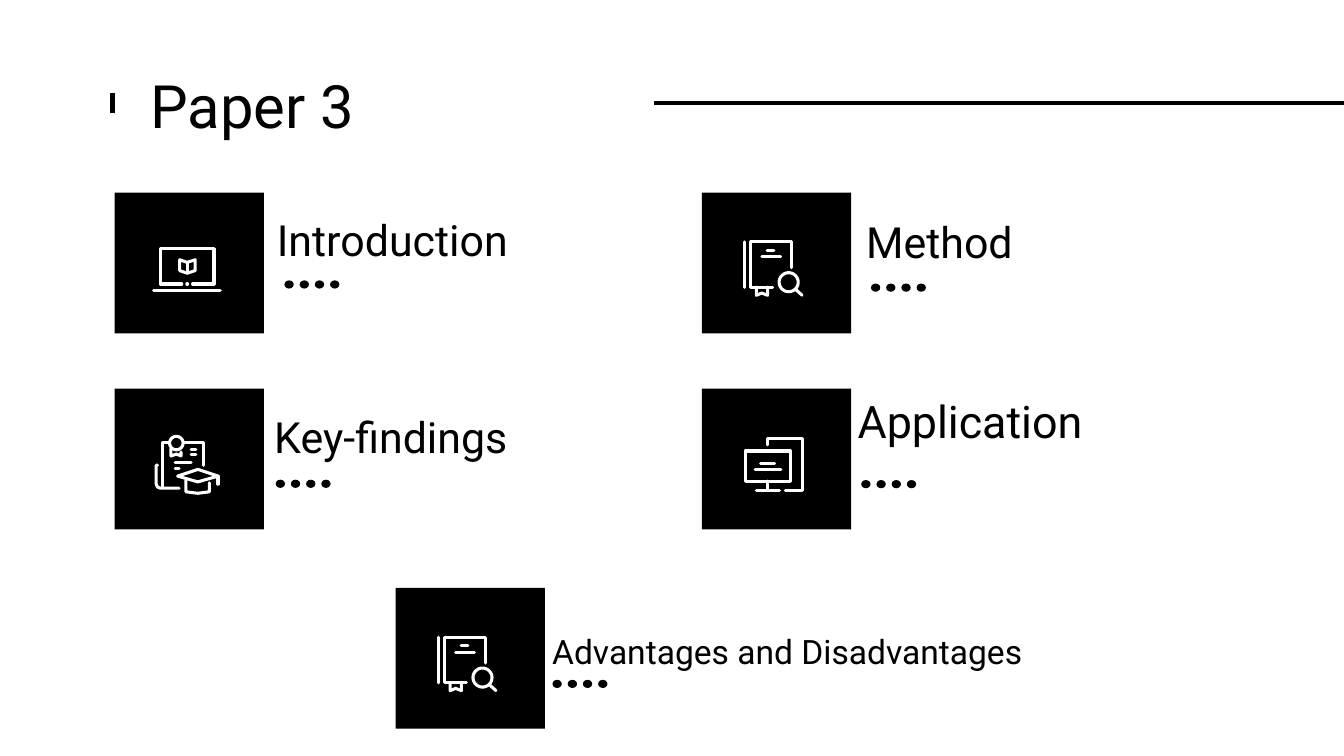
import math
from dataclasses import dataclass

from pptx import Presentation
from pptx.dml.color import RGBColor
from pptx.enum import shapes, text
from pptx.oxml import ns, xmlchemy
from pptx.util import Pt

HUES = {"ink": "000000", "paper": "FFFFFF"}
FACE = "Roboto"
TILE_W, TILE_H = 80, 75.4
DOT_W, DOT_H, DOT_STEP, DOTS = 5, 4.4, 8.15, 4
STROKE = 1.65


@dataclass
class Icon:
    """Strokes of one icon, in points from the corner of the tile."""
    paths: list          # open outlines
    loops: list          # closed outlines


@dataclass
class Card:
    label: str
    size: float
    tile: tuple          # left, top
    box: tuple           # left, top, width, height
    dots: tuple          # left, top of the first dot
    icon: Icon


def row(x1: float, x2: float, y: float) -> list:
    return [(x1, y), (x2, y)]


def ring(x: float, y: float, r: float, steps: int = 36) -> list:
    turns = [2 * math.pi * i / steps for i in range(steps)]
    return [(x + r * math.cos(a), y + r * math.sin(a)) for a in turns]


LAPTOP = Icon(
    paths=[
        [(36, 49), (24.5, 49), (24.5, 30), (53.3, 30), (53.3, 49), (41.8, 49)],
        row(38.7, 39.1, 49), row(20.9, 56.6, 52.5),
        [(38.9, 37.4), (38.9, 43.2)],
    ],
    loops=[[(34.9, 36), (38.9, 37.4), (43.2, 36),
            (43.2, 41.8), (38.9, 43.2), (34.9, 41.8)]])
BOOK = Icon(
    paths=[
        [(23, 26.4), (23, 50.8)],
        [(48, 40.2), (48, 26.4), (26.2, 26.4), (26.2, 50.6), (37.9, 50.6)],
        row(35, 38.6, 30.8), row(32.1, 42.2, 34.4),
        [(29.2, 50.6), (29.2, 55), (32.1, 53.8), (35.2, 55), (35.2, 50.6)],
        [(50.2, 51.8), (53.7, 55)],
    ],
    loops=[ring(46.5, 48, 5.1)])
DEGREE = Icon(
    paths=[
        [(30.2, 32), (30.2, 36), (33.1, 35), (35.6, 36), (35.6, 33.8)],
        [(37, 28.8), (47.5, 28.8), (47.5, 41)],
        [(28.8, 28.8), (25.9, 28.8), (25.9, 52.6)],
        [(23, 41), (22.3, 41), (22.3, 51.1), (23, 52.6), (24.5, 53.3),
         (34.6, 53.3)],
        row(41, 43.6, 32.8), row(41, 43.6, 35.3),
        row(32.4, 41, 39.6), row(32.4, 34.6, 42.5),
        [(38.2, 49), (38.2, 55.2), (44.6, 56), (50.8, 55.2), (50.8, 50.4)],
        [(55.4, 46.8), (55.4, 51.1)],
    ],
    loops=[[(33.8, 46.8), (44.6, 43.2), (55.4, 46.8), (44.6, 49.9)],
           ring(33.1, 29.1, 3.6)])
SCREEN = Icon(
    paths=[
        [(35.4, 49.5), (35.4, 54.5)],
        row(29.3, 41.6, 54.5), row(31.5, 39, 40.1), row(28.6, 42.3, 43),
        [(35.3, 30), (35.3, 26.4), (53.8, 26.4), (53.8, 54.5), (44.8, 54.5)],
    ],
    loops=[[(23.2, 33.3), (47.3, 33.3), (47.3, 49.5), (23.2, 49.5)]])

LEFT, RIGHT, UPPER, LOWER = 61.4, 376, 103.2, 208.3
CARDS = [
    Card("Introduction", 23, (LEFT, UPPER), (141.1, 113, 182, 31),
         (152.4, 150.2), LAPTOP),
    Card("Method", 23, (RIGHT, UPPER), (456.8, 113.8, 182, 31),
         (466.6, 151.9), BOOK),
    Card("Key-findings", 23, (LEFT, LOWER), (139.7, 218.2, 182, 31),
         (147.7, 257), DEGREE),
    Card("Application", 24, (RIGHT, LOWER), (452.2, 187.9, 279.4, 74.9),
         (461.4, 257.2), SCREEN),
    Card("Advantages and Disadvantages", 18, (212, 315),
         (288.7, 334.1, 334, 29.5), (296, 364.2), BOOK),
]


def tint(name: str) -> RGBColor:
    return RGBColor.from_string(HUES[name])


def write(shape, words: str, *, size: float, box: tuple, middle: bool = True) -> None:
    """Place a text shape and fill it with one plain line."""
    shape.left, shape.top, shape.width, shape.height = map(Pt, box)
    frame = shape.text_frame
    frame.word_wrap = True
    frame.auto_size = text.MSO_AUTO_SIZE.NONE
    frame.margin_left = frame.margin_right = Pt(7.2)
    frame.margin_top = frame.margin_bottom = Pt(7.2)
    anchor = text.MSO_ANCHOR
    frame.vertical_anchor = anchor.MIDDLE if middle else anchor.TOP
    frame.text = words
    para = frame.paragraphs[0]
    para.alignment = text.PP_ALIGN.LEFT
    para.space_before = Pt(0)
    props = para._p.get_or_add_pPr()
    props.set("marL", "0")
    props.set("indent", "0")
    props.append(xmlchemy.OxmlElement("a:buNone"))
    font = para.runs[0].font
    font.name, font.size, font.bold = FACE, Pt(size), False
    font.color.rgb = tint("ink")


def block(slide, kind, box: tuple) -> None:
    shape = slide.shapes.add_shape(kind, *map(Pt, box))
    shape.shadow.inherit = False
    shape.fill.solid()
    shape.fill.fore_color.rgb = tint("ink")
    shape.line.fill.background()


def rule(slide, start: tuple, end: tuple) -> None:
    line = slide.shapes.add_connector(
        shapes.MSO_CONNECTOR.STRAIGHT, *map(Pt, start + end))
    line.line.color.rgb = tint("ink")
    line.line.width = Pt(2.25)
    line._element.spPr.append(xmlchemy.OxmlElement("a:effectLst"))


def draw_icon(slide, icon: Icon, left: float, top: float) -> None:
    """Draw all strokes of an icon as one white outline with round ends."""
    path = None
    for group, close in ((icon.paths, False), (icon.loops, True)):
        for spots in group:
            first, *rest = [(Pt(left + x), Pt(top + y)) for x, y in spots]
            if path is None:
                path = slide.shapes.build_freeform(*first, scale=1.0)
            else:
                path.move_to(*first)
            path.add_line_segments(rest, close=close)
    shape = path.convert_to_shape()
    shape.shadow.inherit = False
    shape.fill.background()
    shape.line.color.rgb = tint("paper")
    shape.line.width = Pt(STROKE)
    edge = shape.line._get_or_add_ln()
    edge.set("cap", "rnd")
    for old in edge.findall(ns.qn("a:round")):
        edge.remove(old)
    edge.append(xmlchemy.OxmlElement("a:round"))


def draw_card(slide, card: Card, holder) -> None:
    write(holder, card.label, size=card.size, box=card.box)
    block(slide, shapes.MSO_SHAPE.RECTANGLE, (*card.tile, TILE_W, TILE_H))
    draw_icon(slide, card.icon, *card.tile)
    x, y = card.dots
    for i in range(DOTS):
        block(slide, shapes.MSO_SHAPE.OVAL,
              (x + i * DOT_STEP, y, DOT_W, DOT_H))


def main() -> None:
    deck = Presentation()
    deck.slide_width, deck.slide_height = Pt(720), Pt(405)
    # The comparison layout has a title and four body placeholders
    slide = deck.slides.add_slide(deck.slide_layouts[4])
    slide.background.fill.solid()
    slide.background.fill.fore_color.rgb = tint("paper")

    # Heading with its tick and rule
    title, *bodies = list(slide.placeholders)
    write(title, "Paper 3", size=32, box=(73.4, 29.5, 589.7, 45.4), middle=False)
    rule(slide, (720, 55.2), (350.6, 55.2))
    rule(slide, (60.3, 49.7), (60.3, 60.5))

    # Cards; the last label has a text box of its own
    extra = slide.shapes.add_textbox(*map(Pt, CARDS[-1].box))
    for card, holder in zip(CARDS, [*bodies, extra]):
        draw_card(slide, card, holder)

    deck.save("out.pptx")


if __name__ == "__main__":
    main()
